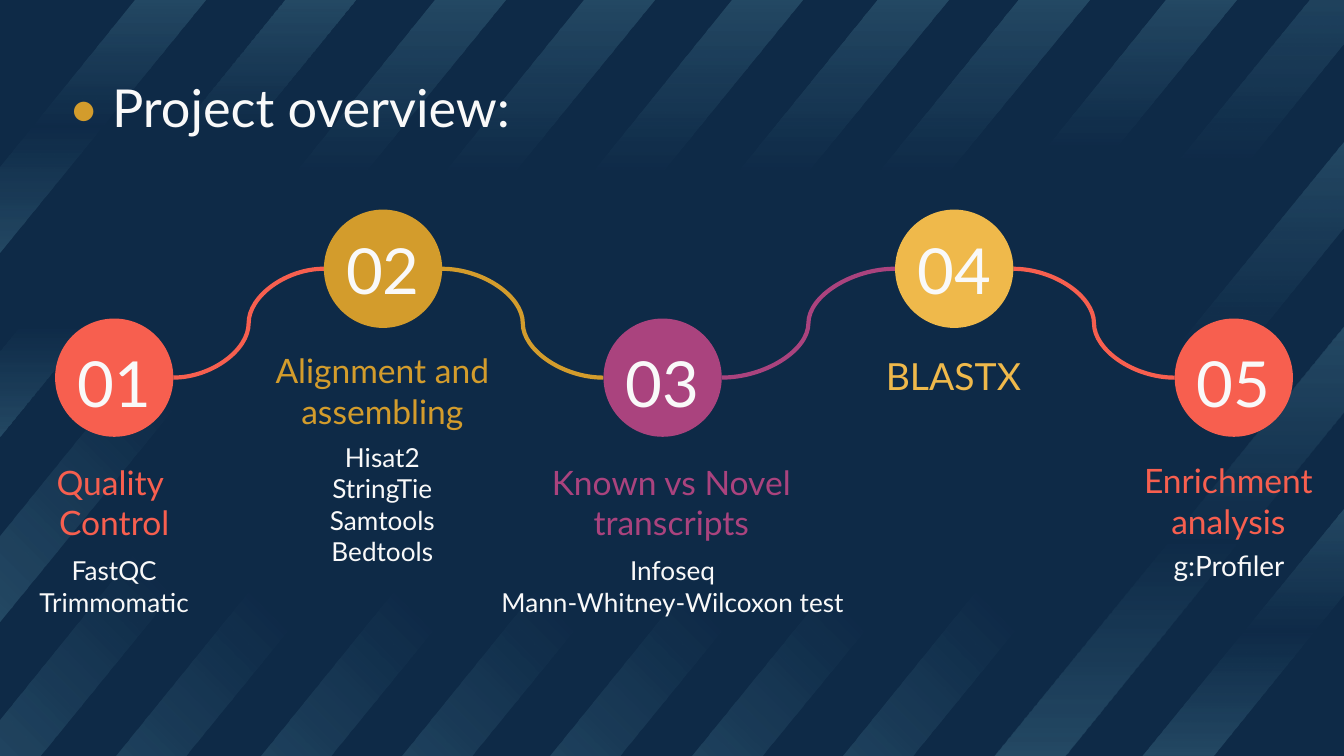
from itertools import pairwise

from lxml.etree import SubElement
from pptx import Presentation
from pptx.dml.color import RGBColor
from pptx.enum.shapes import MSO_CONNECTOR, MSO_SHAPE
from pptx.enum.text import MSO_ANCHOR, MSO_AUTO_SIZE, PP_ALIGN
from pptx.oxml import parse_xml
from pptx.oxml.ns import nsdecls, qn
from pptx.util import Inches, Pt

COLORS = {
    "navy": "0E2A47",
    "stripe": "87D2E4",
    "white": "F9F9F9",
    "coral": "F75F4F",
    "gold": "D39C2C",
    "purple": "AA437E",
    "yellow": "EFB94B",
}
WIDTH = 10
HEIGHT = WIDTH * 9 / 16
CIRCLE = 0.88
HIGH, LOW = 1.56, 2.37
NUMBER_TOP = {HIGH: 1.74, LOW: 2.58}
NUMBER_W, NUMBER_H = 1.93, 0.52
STRIPE_W, STRIPE_H = 0.53, 0.64  # horizontal and vertical thickness of a stripe

# Gradient stops as (position %, opacity %), then the angle in degrees
FADE_UP = ([(0, 18), (84, 0), (100, 0)], 315)
FADE_DOWN = ([(0, 18), (68, 0), (100, 0)], 90)
FADE_SHORT = ([(0, 18), (58, 0), (100, 0)], 90)
FADE_LONG = ([(0, 18), (82, 0), (100, 0)], 90)
FADE_MIDDLE = ([(0, 18), (50, 0), (100, 18)], 90)
FADE_WIDE = ([(0, 18), (29, 0), (75, 0), (100, 18)], 90)

# Left, top, width, height, gradient
STRIPES = [
    *[(x, 4.38, 1.54, 1.89, FADE_UP) for x in (0.86, 1.94, 2.99, 4.09, 5.15, 6.27)],
    *[(0, y, 1.54, 1.89, FADE_UP) for y in (2.74, 4.11)],
    *[(x, 0, 1.54, 1.89, FADE_DOWN) for x in (2.23, 3.34, 4.44, 5.52, 6.57)],
    (7.67, 0, 1.54, 1.89, FADE_SHORT),
    (0, 0, 1.54, 1.89, FADE_MIDDLE),
    (0, 0, 2.65, 3.25, FADE_WIDE),
]
# Top, width, height, gradient
EDGE_STRIPES = [
    (-0.32, 1.5, 1.84, FADE_LONG),
    (1.05, 1.5, 1.84, FADE_LONG),
    (3.78, 1.5, 1.84, FADE_MIDDLE),
    (2.42, 2.61, 3.21, FADE_MIDDLE),
]

# Circle left and top, colour, heading (box, size, lines), tools (box, size, lines)
STEPS = [
    (0.41, LOW, "coral",
     ((-0.14, 3.53, 1.98, 0.41), 18, ["Quality ", "Control"]),
     ((-0.02, 3.98, 1.74, 0.76), 14, ["FastQC", "Trimmomatic"])),
    (2.41, HIGH, "gold",
     ((1.4, 2.7, 2.89, 0.41), 18, ["Alignment and assembling"]),
     ((1.4, 3.37, 2.89, 0.76), 14, ["Hisat2", "StringTie", "Samtools", "Bedtools"])),
    (4.49, LOW, "purple",
     ((3.55, 3.53, 2.89, 0.41), 18, ["Known vs Novel transcripts"]),
     ((3.23, 3.98, 3.55, 0.76), 14, ["Infoseq", "Mann-Whitney-Wilcoxon test"])),
    (6.66, HIGH, "yellow",
     ((6.13, 2.59, 1.93, 0.41), 20, ["BLASTX"]),
     None),
    (8.74, LOW, "coral",
     ((8.15, 3.32, 1.98, 0.81), 18, ["Enrichment analysis"]),
     ((8.41, 3.98, 1.47, 0.45), 15, ["g:Profiler"])),
]
CURVE_COLORS = ["coral", "gold", "purple", "coral"]


def rgb(name):
    return RGBColor.from_string(COLORS[name])


class Deck:
    font = "Lato"

    def __init__(self):
        self.prs = Presentation()
        self.prs.slide_width, self.prs.slide_height = Inches(WIDTH), Inches(HEIGHT)
        self.s = self.prs.slides.add_slide(self.prs.slide_layouts[5])
        fill = self.s.background.fill
        fill.solid()
        fill.fore_color.rgb = rgb("navy")

    def frame(self, tf):
        sides = ("left", "top", "right", "bottom")
        style = {f"margin_{side}": Inches(0.1) for side in sides}
        style |= {"word_wrap": True, "auto_size": MSO_AUTO_SIZE.NONE,
                  "vertical_anchor": MSO_ANCHOR.MIDDLE}
        for name, value in style.items():
            setattr(tf, name, value)

    def run(self, p, text, size, color):
        r = p.add_run()
        r.text = text
        for name, value in {"name": self.font, "size": Pt(size), "bold": False}.items():
            setattr(r.font, name, value)
        r.font.color.rgb = rgb(color)

    def title(self, box, runs):
        sp = self.s.shapes.title
        sp.left, sp.top, sp.width, sp.height = map(Inches, box)
        self.frame(sp.text_frame)
        p = sp.text_frame.paragraphs[0]
        p.alignment = PP_ALIGN.LEFT
        for text, color in runs:
            self.run(p, text, 28, color)
        self.s.shapes._spTree.append(sp._element)  # in front of the stripes

    def text(self, box, size, lines, color):
        """Add a text box with one centred paragraph for each line."""
        tf = self.s.shapes.add_textbox(*map(Inches, box)).text_frame
        self.frame(tf)
        for i, line in enumerate(lines):
            p = tf.add_paragraph() if i else tf.paragraphs[0]
            p.alignment = PP_ALIGN.CENTER
            self.run(p, line, size, color)

    def circle(self, x, y, color):
        sp = self.s.shapes.add_shape(
            MSO_SHAPE.OVAL, *map(Inches, (x, y, CIRCLE, CIRCLE)))
        sp.shadow.inherit = False
        sp.fill.solid()
        sp.fill.fore_color.rgb = rgb(color)
        sp.line.fill.background()

    def curve(self, start, end, color):
        line = self.s.shapes.add_connector(
            MSO_CONNECTOR.CURVE, *map(Inches, (*start, *end)))
        line.line.color.rgb = rgb(color)
        line.line.width = Pt(2.25)
        SubElement(line._element.spPr, qn("a:effectLst"))

    def stripe(self, points, gradient):
        start, *rest = [tuple(map(Inches, point)) for point in points]
        builder = self.s.shapes.build_freeform(*start)
        builder.add_line_segments(rest, close=True)
        sp = builder.convert_to_shape()
        sp.shadow.inherit = False
        sp.line.fill.background()
        stops, angle = gradient
        gs = "".join(
            f'<a:gs pos="{pos * 1000}"><a:srgbClr val="{COLORS["stripe"]}">'
            f'<a:alpha val="{alpha * 1000}"/></a:srgbClr></a:gs>'
            for pos, alpha in stops)
        fill = parse_xml(
            f'<a:gradFill {nsdecls("a")} rotWithShape="1"><a:gsLst>{gs}</a:gsLst>'
            f'<a:lin ang="{angle * 60000}" scaled="0"/></a:gradFill>')
        sp._element.spPr.find(qn("a:custGeom")).addnext(fill)


def main():
    deck = Deck()
    for x, y, w, h, gradient in STRIPES:
        deck.stripe([(x + w - STRIPE_W, y), (x, y + h - STRIPE_H),
                     (x, y + h), (x + w, y)], gradient)
    for y, w, h, gradient in EDGE_STRIPES:
        x = WIDTH - w
        deck.stripe([(WIDTH, y), (x, y + h), (x + STRIPE_W, y + h),
                     (WIDTH, y + STRIPE_H)], gradient)

    deck.title((0.41, 0.47, 8.43, 0.65),
               [("• ", "gold"), ("Project overview:", "white")])

    for (left, right), color in zip(pairwise(STEPS), CURVE_COLORS):
        deck.curve((left[0] + CIRCLE, left[1] + CIRCLE / 2),
                   (right[0], right[1] + CIRCLE / 2), color)
    for number, (x, y, color, heading, tools) in enumerate(STEPS, 1):
        deck.circle(x, y, color)
        number_box = (x + (CIRCLE - NUMBER_W) / 2, NUMBER_TOP[y], NUMBER_W, NUMBER_H)
        deck.text(number_box, 34, [f"{number:02}"], "white")
        deck.text(*heading, color)
        if tools:
            deck.text(*tools, "white")

    deck.prs.save("out.pptx")


if __name__ == "__main__":
    main()
